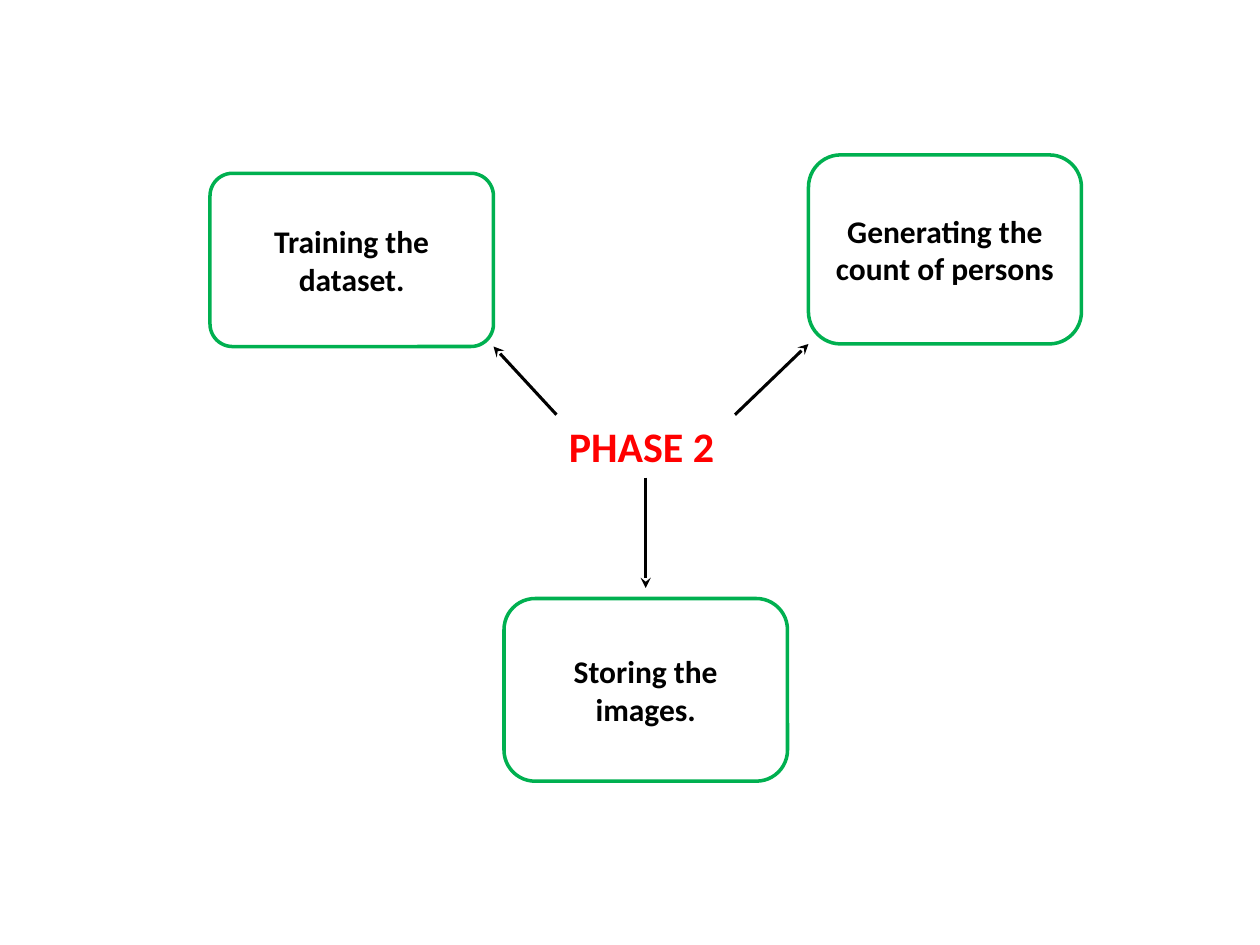
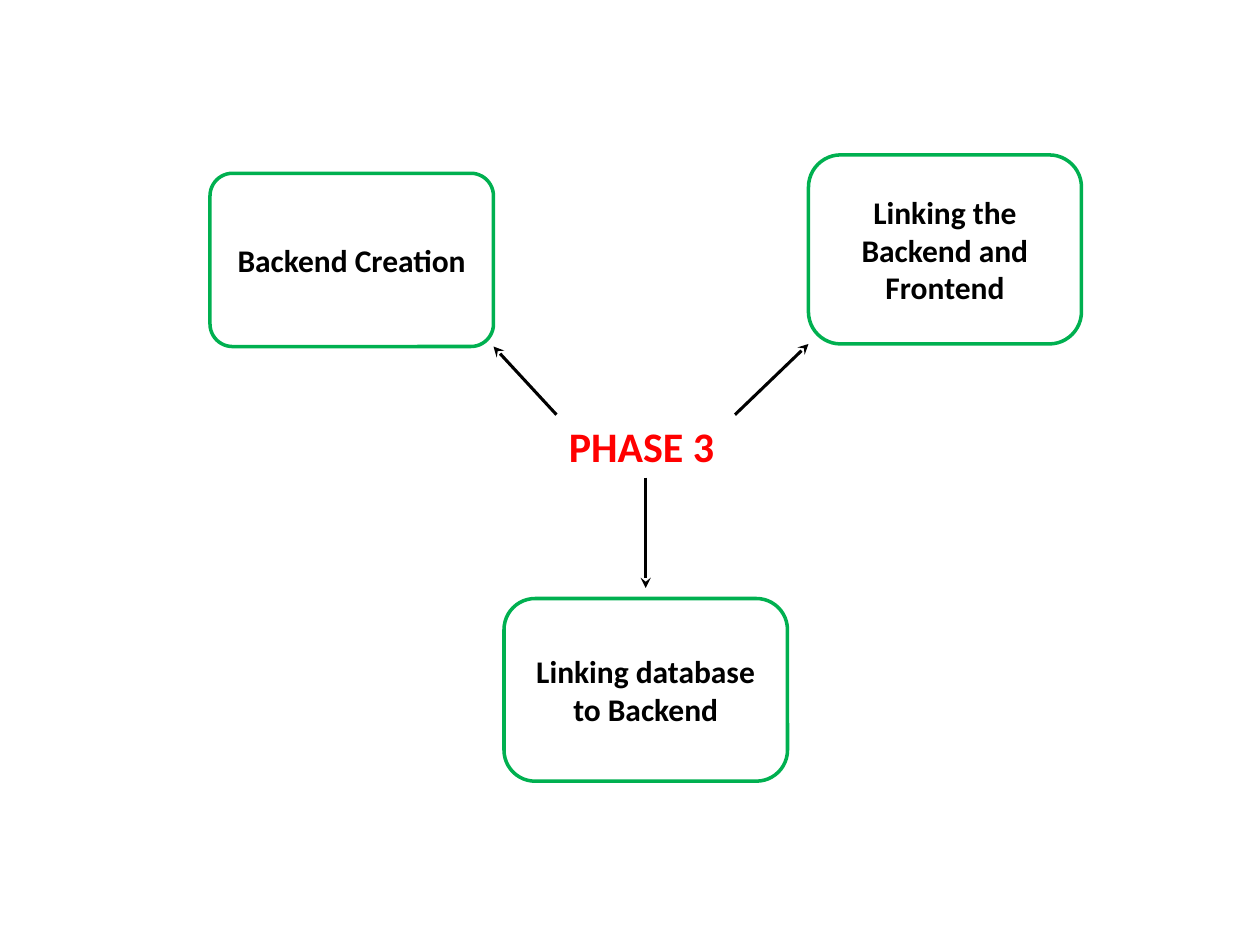
from lxml import etree
from pptx import Presentation
from pptx.dml.color import RGBColor
from pptx.enum.shapes import MSO_CONNECTOR, MSO_SHAPE
from pptx.enum.text import MSO_ANCHOR, MSO_AUTO_SIZE, PP_ALIGN
from pptx.oxml.ns import qn
from pptx.util import Inches, Pt

GREEN = RGBColor(0x00, 0xB0, 0x50)
RED = RGBColor(0xFF, 0x00, 0x00)
BLACK = RGBColor(0x00, 0x00, 0x00)
FONT = "Calibri"
UNIT = Inches(10) / 120

RIGHT_BOX = (77, 14.76, 26, 18)
LEFT_BOX = (20, 16.5, 27, 16.5)
BOTTOM_BOX = (48, 57, 27, 17.4)
LABEL = (53, 39.5, 17, 6)
CORNER = 0.17
LEFT_CORNER = 0.13

PHASES = [
    ("PHASE 2", "Training the dataset.", "Generating the count of persons",
     "Storing the images."),
    ("PHASE 3", "Backend Creation", "Linking the Backend and Frontend",
     "Linking database to Backend"),
]


def grid(*units):
    return [round(u * UNIT) for u in units]


def write(tf, text, size, color, align):
    tf.word_wrap = True
    tf.text = text
    p = tf.paragraphs[0]
    p.alignment = align
    font = p.runs[0].font
    font.name, font.size, font.bold = FONT, Pt(size), True
    font.color.rgb = color


def add_step(s, box, text, corner=CORNER):
    sp = s.shapes.add_shape(MSO_SHAPE.ROUNDED_RECTANGLE, *grid(*box))
    sp.adjustments[0] = corner
    sp.shadow.inherit = False
    sp.fill.background()
    sp.line.color.rgb = GREEN
    sp.line.width = Pt(2)
    sp.text_frame.vertical_anchor = MSO_ANCHOR.MIDDLE
    write(sp.text_frame, text, 18, BLACK, PP_ALIGN.CENTER)


def add_label(s, text):
    sp = s.shapes.add_textbox(*grid(*LABEL))
    write(sp.text_frame, text, 24, RED, PP_ALIGN.LEFT)
    sp.text_frame.auto_size = MSO_AUTO_SIZE.SHAPE_TO_FIT_TEXT
    return sp


def add_arrow(s, start, end):
    line = s.shapes.add_connector(MSO_CONNECTOR.STRAIGHT, *grid(*start, *end))
    line.line.color.rgb = BLACK
    line.line.width = Pt(1.75)
    ln = line.line._get_or_add_ln()
    etree.SubElement(ln, qn("a:tailEnd"), type="stealth")
    etree.SubElement(line._element.spPr, qn("a:effectLst"))
    return line


def corner(box, across, down):
    x, y, w, h = box
    return x + across * w, y + down * h


def add_phase(prs, name, left, right, bottom):
    s = prs.slides.add_slide(prs.slide_layouts[6])
    add_step(s, RIGHT_BOX, right)
    add_step(s, LEFT_BOX, left, LEFT_CORNER)
    add_step(s, BOTTOM_BOX, bottom)
    label = add_label(s, name)
    add_arrow(s, corner(LABEL, 0, 0), corner(LEFT_BOX, 1, 1))
    add_arrow(s, corner(LABEL, 1, 0), corner(RIGHT_BOX, 0, 1))
    x, y = corner(BOTTOM_BOX, 0.5, 0)
    down = add_arrow(s, corner(LABEL, 0.5, 1), (x, y - 1))
    down.begin_connect(label, 2)


def main():
    prs = Presentation()
    prs.slide_width, prs.slide_height = grid(120, 90)
    for phase in PHASES:
        add_phase(prs, *phase)
    prs.save("out.pptx")


if __name__ == "__main__":
    main()
